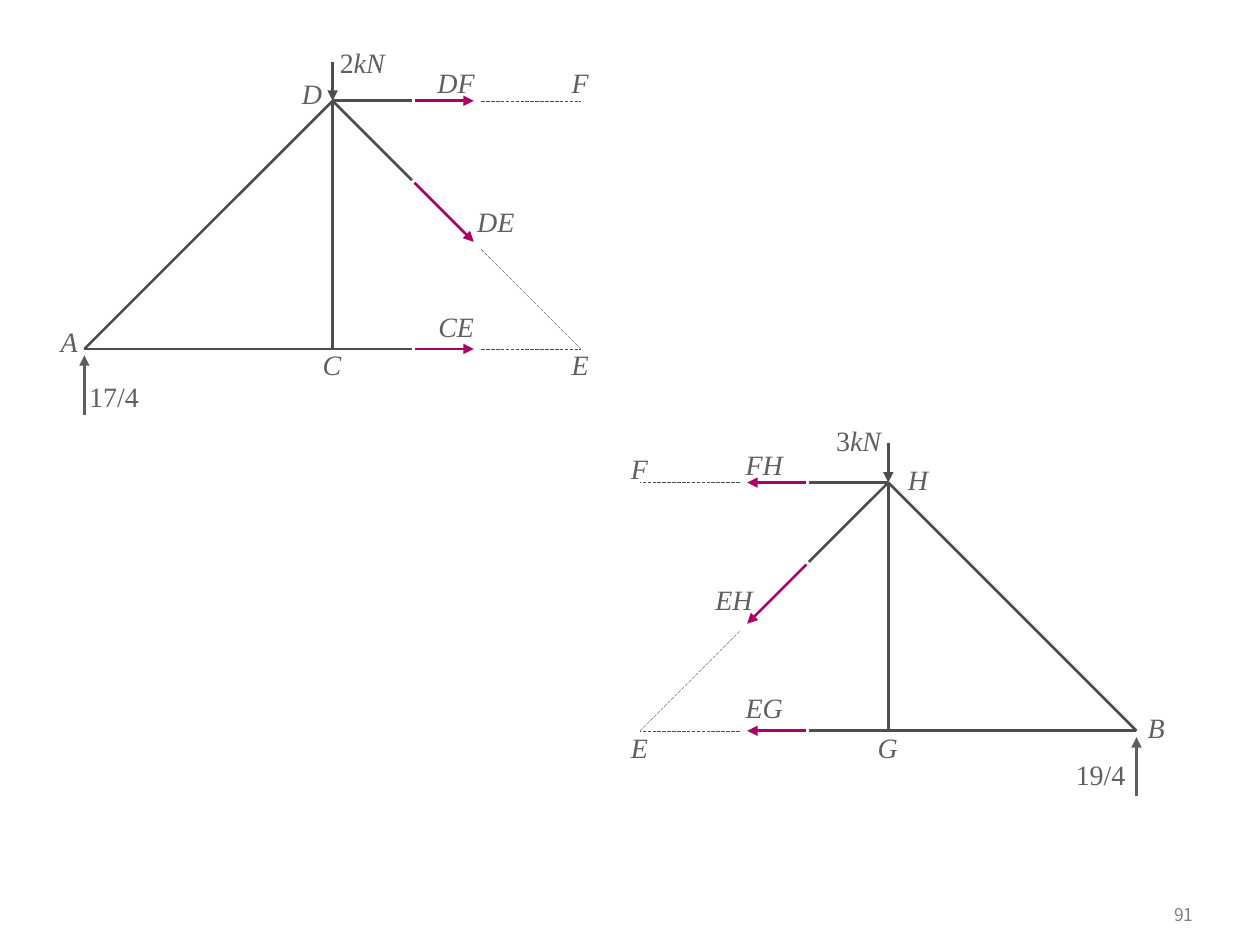
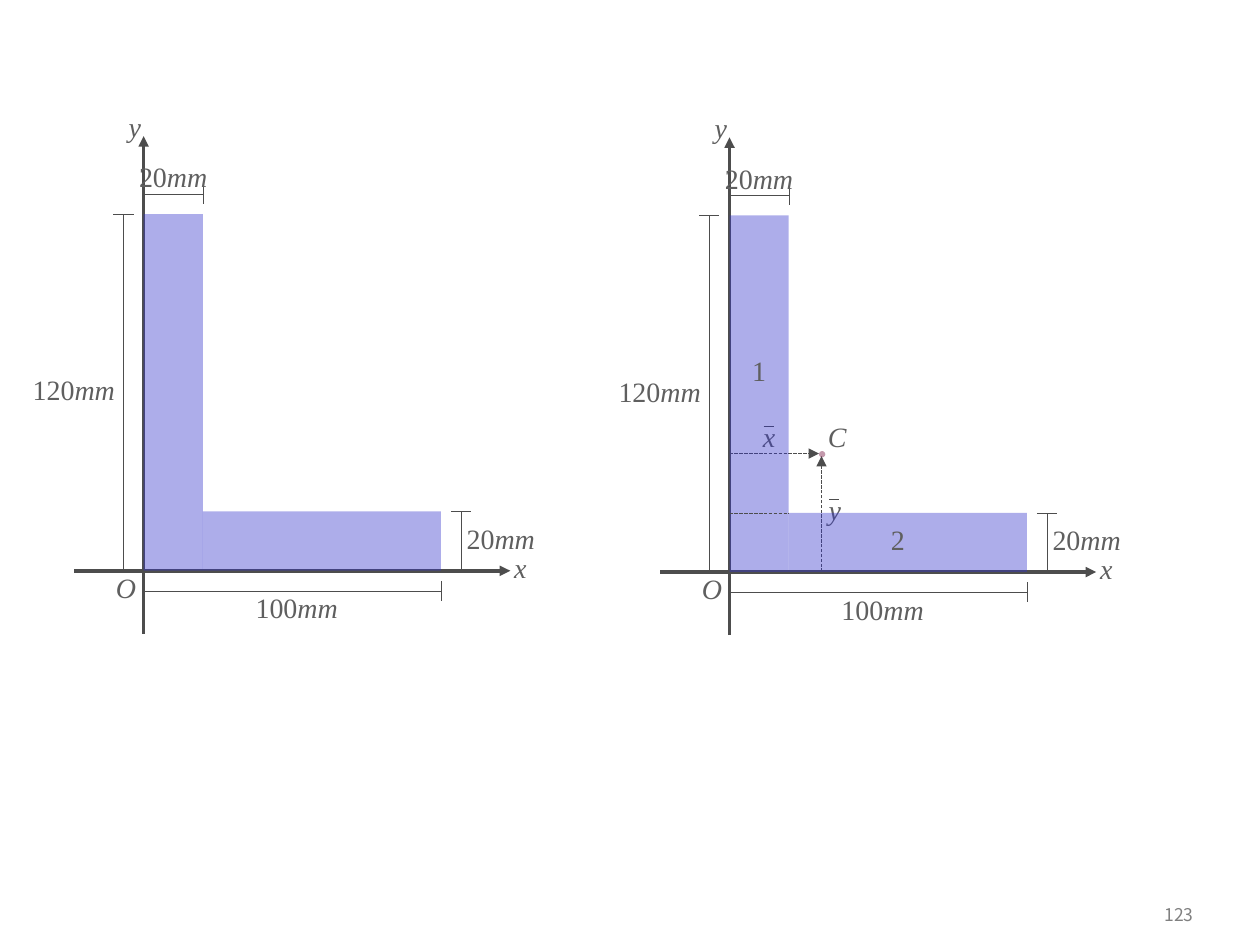
from dataclasses import dataclass
from itertools import groupby
from typing import NamedTuple

from lxml import etree
from pptx import Presentation
from pptx.dml.color import RGBColor
from pptx.enum.dml import MSO_LINE
from pptx.enum.shapes import MSO_CONNECTOR, MSO_SHAPE
from pptx.enum.text import MSO_ANCHOR, PP_ALIGN
from pptx.oxml.ns import qn
from pptx.util import Emu, Pt

STRAIGHT = MSO_CONNECTOR.STRAIGHT
LONG_DASH = MSO_LINE.LONG_DASH
RECTANGLE, OVAL = MSO_SHAPE.RECTANGLE, MSO_SHAPE.OVAL
CENTER, RIGHT = PP_ALIGN.CENTER, PP_ALIGN.RIGHT
TOP, MIDDLE = MSO_ANCHOR.TOP, MSO_ANCHOR.MIDDLE

PX = 9144  # EMU per px, 100 px to the inch


@dataclass(frozen=True)
class Theme:
    text: str = "5F5F5F"
    ink: str = "4D4D4D"
    force: str = "A90165"
    area: str = "3333CC"
    centroid: str = "6B0131"
    page: str = "808080"
    label_font: str = "Times New Roman"
    page_font: str = "Noto Sans CJK KR"
    label_size: int = 16
    page_size: int = 10
    opacity: int = 40
    axis: float = 0
    thin: float = 0.25
    thick: float = 1.5


THEME = Theme()


class Point(NamedTuple):
    x: int
    y: int

    def shift(self, dx: int, dy: int) -> "Point":
        return Point(self.x + dx, self.y + dy)


class Label(NamedTuple):
    text: str
    x: int
    y: int
    w: int


@dataclass(frozen=True)
class Truss:
    """Half of a cut truss; side is +1 when the cut lies to the right of the apex."""
    apex: Point
    side: int
    labels: tuple[Label, ...]


class Dimension(NamedTuple):
    """Measured line with a cross tick at its end, relative to the origin."""
    x1: int
    y1: int
    x2: int
    y2: int


TRUSSES = (
    Truss(Point(264, 80), 1, (
        Label("17/4", 67, 301, 47), Label("A", 43, 258, 24),
        Label("C", 248, 276, 31), Label("2kN", 264, 36, 47),
        Label("D", 232, 61, 31), Label("E", 445, 276, 31),
        Label("F", 445, 52, 31), Label("DF", 342, 52, 40),
        Label("CE", 342, 246, 40), Label("DE", 374, 162, 39))),
    Truss(Point(705, 383), -1, (
        Label("19/4", 846, 601, 55), Label("B", 902, 564, 31),
        Label("G", 689, 580, 31), Label("3kN", 658, 336, 47),
        Label("H", 713, 367, 31), Label("E", 492, 580, 31),
        Label("F", 492, 358, 31), Label("FH", 587, 355, 39),
        Label("EG", 587, 548, 39), Label("EH", 563, 462, 39))),
)
SPAN = 197                # panel width and truss height
STUB = 63                 # length of each cut member
FORCE = (65, 112)         # start and end of a force arrow, from the apex
GHOST = 118               # start of the removed part of a member

THICKNESS, WIDTH, HEIGHT = 47, 236, 283
GAP, TICK = 16, 8
DIMENSIONS = (
    Dimension(0, GAP, WIDTH, GAP),
    Dimension(WIDTH + GAP, 0, WIDTH + GAP, -THICKNESS),
    Dimension(-GAP, 0, -GAP, -HEIGHT),
    Dimension(0, -HEIGHT - GAP, THICKNESS, -HEIGHT - GAP),
)
AXIS_LABELS = (Label("O", -28, 0, 28), Label("x", 291, -16, 16),
               Label("y", -16, -366, 18))
SIZE_LABELS = (Label("100mm", 78, 16, 87), Label("20mm", 252, -39, 63),
               Label("120mm", -95, -157, 79), Label("20mm", -8, -326, 63))
PART_LABELS = (Label("C", 74, -121, 23), Label("1", 8, -173, 31),
               Label("2", 118, -39, 31))
MEAN_LABELS = (Label("y", 75, -63, 17), Label("x", 23, -121, 17))
CENTROID = Point(73, -94)


def add_text(s, x: int, y: int, w: int, h: int, text: str, *,
             font: str = THEME.label_font, size: int = THEME.label_size,
             color: str = THEME.text, align=CENTER, anchor=TOP,
             inset: int = 0) -> None:
    """Put text in a box, with letters in italics and all else upright."""
    tf = s.shapes.add_textbox(x * PX, y * PX, w * PX, h * PX).text_frame
    tf.word_wrap = True
    tf.vertical_anchor = anchor
    tf.margin_left = tf.margin_right = Emu(inset * PX)
    tf.margin_top = tf.margin_bottom = Emu(inset * PX // 2)
    p = tf.paragraphs[0]
    p.alignment = align
    for italic, chars in groupby(text, str.isalpha):
        r = p.add_run()
        r.text = "".join(chars)
        r.font.name = font
        r.font.size = Pt(size)
        r.font.italic = italic
        r.font.color.rgb = RGBColor.from_string(color)


def add_labels(s, labels: tuple[Label, ...], origin: Point = Point(0, 0),
               h: int = 27) -> None:
    for label in labels:
        at = origin.shift(label.x, label.y)
        add_text(s, at.x, at.y, label.w, h, label.text)


def add_line(s, start: Point, end: Point, *, width: float = THEME.thin,
             color: str = THEME.ink, dashed: bool = False,
             arrow: bool = False) -> None:
    line = s.shapes.add_connector(STRAIGHT, start.x * PX, start.y * PX,
                                  end.x * PX, end.y * PX)
    line.line.width = Pt(width)
    line.line.color.rgb = RGBColor.from_string(color)
    if dashed:
        line.line.dash_style = LONG_DASH
    spPr = line._element.spPr
    if arrow:
        etree.SubElement(spPr.find(qn("a:ln")), qn("a:tailEnd"), type="triangle")
    etree.SubElement(spPr, qn("a:effectLst"))


def add_area(s, kind, at: Point, w: int, h: int, color: str) -> None:
    """Draw a translucent shape without an outline."""
    sp = s.shapes.add_shape(kind, at.x * PX, at.y * PX, w * PX, h * PX)
    sp.shadow.inherit = False
    sp.line.fill.background()
    sp.fill.solid()
    sp.fill.fore_color.rgb = RGBColor.from_string(color)
    clr = sp._element.spPr.find(qn("a:solidFill")).find(qn("a:srgbClr"))
    etree.SubElement(clr, qn("a:alpha"), val=str(THEME.opacity * 1000))


def add_page(prs, number: int):
    s = prs.slides.add_slide(prs.slide_layouts[6])
    add_text(s, 886, 709, 71, 33, str(number), font=THEME.page_font,
             size=THEME.page_size, color=THEME.page, align=RIGHT,
             anchor=MIDDLE, inset=10)
    return s


def draw_truss(s, truss: Truss) -> None:
    apex, side = truss.apex, truss.side
    foot = apex.shift(-side * SPAN, SPAN)
    mid = apex.shift(0, SPAN)

    for start, end in ((foot, apex), (foot, mid.shift(side * STUB, 0)),
                       (mid, apex)):
        add_line(s, start, end, width=THEME.thick)
    add_line(s, apex.shift(0, -31), apex, width=THEME.thick, arrow=True)
    add_line(s, foot.shift(0, 52), foot.shift(0, 5), width=THEME.thick,
             color=THEME.text, arrow=True)

    # Cut members: top chord, diagonal, bottom chord
    for joint, slope in ((apex, 0), (apex, 1), (mid, 0)):
        def along(d: int) -> Point:
            return joint.shift(side * d, slope * d)

        if joint is apex:
            add_line(s, apex, along(STUB), width=THEME.thick)
        add_line(s, along(GHOST), along(SPAN), dashed=True)
        add_line(s, along(FORCE[0]), along(FORCE[1]), width=THEME.thick,
                 color=THEME.force, arrow=True)
    add_labels(s, truss.labels, h=33 if side > 0 else 31)


def draw_axes(s, origin: Point) -> None:
    add_line(s, origin.shift(0, 50), origin.shift(0, -345),
             width=THEME.axis, arrow=True)
    add_line(s, origin.shift(-55, 0), origin.shift(291, 0),
             width=THEME.axis, arrow=True)
    add_labels(s, AXIS_LABELS, origin)


def draw_mean_distances(s, origin: Point) -> None:
    """Draw the arrows to the centroid and the barred letters beside them."""
    c = origin.shift(*CENTROID)
    add_line(s, Point(c.x, origin.y), c.shift(0, 2), dashed=True, arrow=True)
    add_line(s, Point(origin.x, c.y), c.shift(-2, 0), dashed=True, arrow=True)
    add_labels(s, MEAN_LABELS, origin)
    for label in MEAN_LABELS:
        bar = origin.shift(label.x + 4, label.y + 5)
        add_line(s, bar, bar.shift(8, 0))


def draw_section(s, origin: Point) -> None:
    """Draw the L section with its dimensions."""
    add_area(s, RECTANGLE, origin.shift(0, -HEIGHT), THICKNESS, HEIGHT,
             THEME.area)
    add_area(s, RECTANGLE, origin.shift(THICKNESS, -THICKNESS),
             WIDTH - THICKNESS, THICKNESS, THEME.area)
    for d in DIMENSIONS:
        end = origin.shift(d.x2, d.y2)
        add_line(s, origin.shift(d.x1, d.y1), end)
        tx, ty = (0, TICK) if d.y1 == d.y2 else (TICK, 0)
        add_line(s, end.shift(-tx, -ty), end.shift(tx, ty))
    add_labels(s, SIZE_LABELS, origin)


def draw_parts(s, origin: Point) -> None:
    """Mark the centroid and the two rectangles of the section."""
    add_area(s, OVAL, origin.shift(*CENTROID).shift(-2, -2), 5, 5,
             THEME.centroid)
    add_line(s, origin.shift(0, -THICKNESS),
             origin.shift(THICKNESS, -THICKNESS), dashed=True)
    add_labels(s, PART_LABELS, origin)


def main() -> None:
    prs = Presentation()
    prs.slide_width, prs.slide_height = Emu(1000 * PX), Emu(750 * PX)

    s = add_page(prs, 91)
    for truss in TRUSSES:
        draw_truss(s, truss)

    s = add_page(prs, 123)
    plain, divided = Point(114, 453), Point(579, 454)
    draw_axes(s, plain)
    draw_section(s, plain)
    draw_axes(s, divided)
    draw_mean_distances(s, divided)
    draw_section(s, divided)
    draw_parts(s, divided)

    prs.save("out.pptx")


if __name__ == "__main__":
    main()
